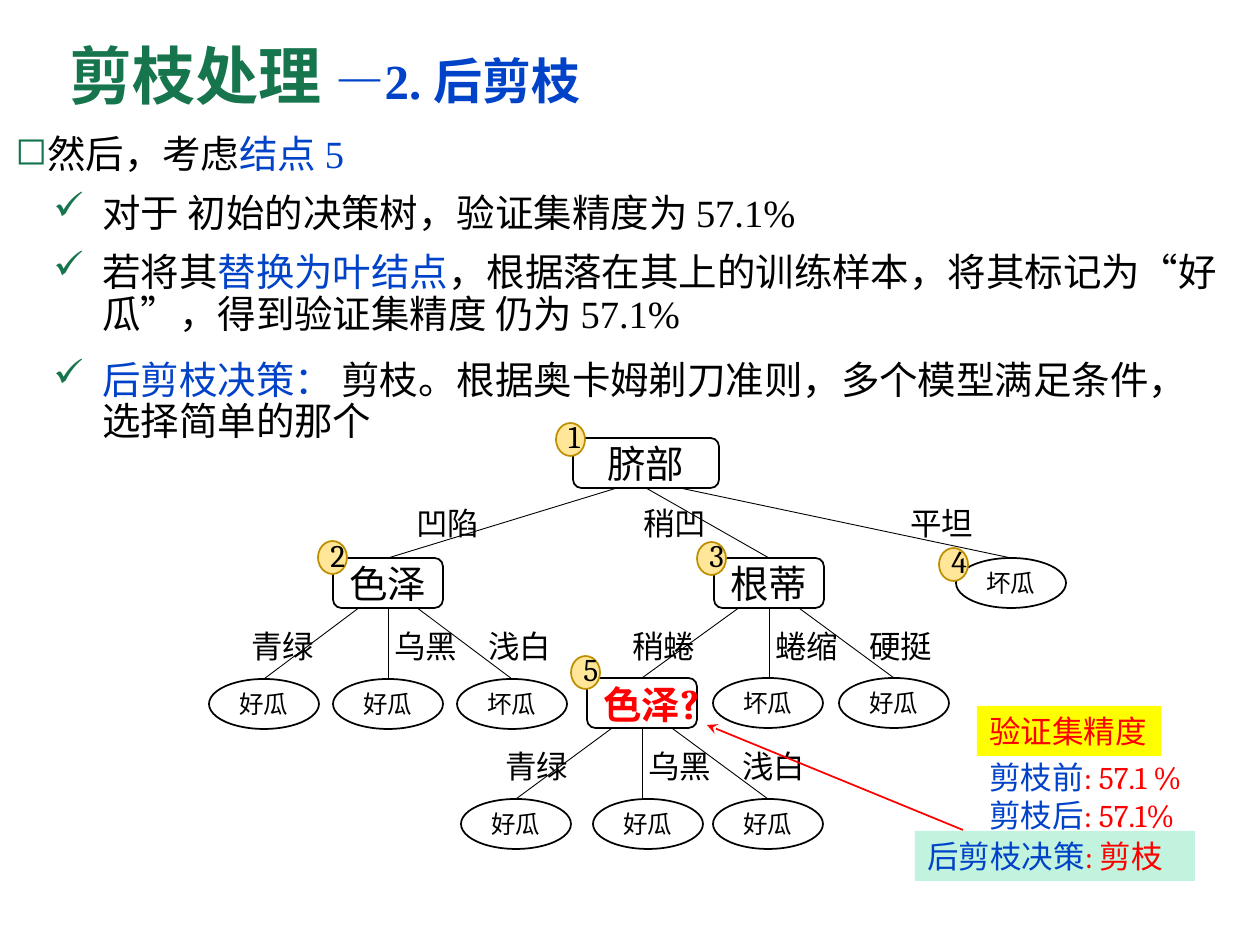
from dataclasses import dataclass

from lxml.etree import SubElement
from pptx import Presentation
from pptx.dml.color import RGBColor
from pptx.enum.shapes import MSO_CONNECTOR, MSO_SHAPE
from pptx.enum.text import MSO_ANCHOR, MSO_AUTO_SIZE, PP_ALIGN
from pptx.oxml.ns import qn
from pptx.util import Emu, Pt

PX_PER_INCH = 126
NODE_W, NODE_H = 110, 50


@dataclass(frozen=True)
class Theme:
    black: str = "000000"
    white: str = "FFFFFF"
    green: str = "16754D"
    blue: str = "0042C8"
    red: str = "FF0000"
    yellow: str = "FFFF00"
    mint: str = "C1F3DE"
    badge: str = "FFE699"
    badge_line: str = "BD8E00"
    serif: str = "Times New Roman"
    cambria: str = "Cambria"
    cjk: str = "Noto Sans CJK SC"
    title: int = 36
    subtitle: int = 28
    question: int = 24
    body: int = 22
    label: int = 18
    leaf: int = 14


T = Theme()


def px(n):
    return Emu(round(n * 914400 / PX_PER_INCH))


def rgb(color):
    return RGBColor.from_string(color)


def add_run(p, text, size, color=T.black, font=T.serif, bold=False):
    r = p.add_run()
    r.text = text
    r.font.size, r.font.bold, r.font.name = Pt(size), bold, font
    r.font.color.rgb = rgb(color)
    SubElement(r.font._element, qn("a:ea"), typeface=T.cjk)


def add_shape(shapes, kind, box, fill, line=None):
    sp = shapes.add_shape(kind, *map(px, box))
    sp.shadow.inherit = False
    sp.fill.solid()
    sp.fill.fore_color.rgb = rgb(fill)
    if line:
        sp.line.color.rgb = rgb(line)
        sp.line.width = Pt(1)
    else:
        sp.line.fill.background()
    return sp


def add_line(shapes, start, end, color=T.black, width=0.5):
    cx = shapes.add_connector(MSO_CONNECTOR.STRAIGHT, *map(px, start + end))
    cx.line.color.rgb = rgb(color)
    cx.line.width = Pt(width)
    SubElement(cx._element.spPr, qn("a:effectLst"))
    return cx


def centre_text(sp):
    tf = sp.text_frame
    tf.word_wrap = True
    tf.vertical_anchor = MSO_ANCHOR.MIDDLE
    p = tf.paragraphs[0]
    p.alignment = PP_ALIGN.CENTER
    return p


def fit_text(sp, lines, font):
    """Fill an unwrapped, growing shape; each line is a list of (text, color)."""
    tf = sp.text_frame
    tf.word_wrap = False
    tf.auto_size = MSO_AUTO_SIZE.SHAPE_TO_FIT_TEXT
    for i, runs in enumerate(lines):
        p = tf.add_paragraph() if i else tf.paragraphs[0]
        p.alignment = PP_ALIGN.LEFT
        for text, color in runs:
            add_run(p, text, T.label, color, font)


def add_label(shapes, x, y, text):
    fit_text(shapes.add_textbox(*map(px, (x, y, 90, 50))), [[(text, T.black)]], T.cjk)


def add_leaf(shapes, x, y, text):
    sp = add_shape(shapes, MSO_SHAPE.OVAL, (x, y, NODE_W, NODE_H), T.white, T.black)
    add_run(centre_text(sp), text, T.leaf)
    return sp


def add_node(shapes, x, y, text, w=NODE_W, color=T.black, mark=""):
    sp = add_shape(shapes, MSO_SHAPE.ROUNDED_RECTANGLE, (x, y, w, NODE_H), T.white, T.black)
    p = centre_text(sp)
    add_run(p, text, T.body, color, T.cambria, bool(mark))
    if mark:
        add_run(p, mark, T.question, color, T.cambria, True)
    return sp


def add_subtree(shapes, x, y, text, children, labels, **style):
    """Place a node at x, y and branch it to three children below."""
    mid = x + NODE_W // 2
    for child in (children[0], children[2]):
        add_line(shapes, (mid, y + 28), (mid, y + 121)).end_connect(child, 0)
    for dx, label in zip((-94, 49, 143), labels):
        add_label(shapes, x + dx, y + 63, label)
    node = add_node(shapes, x, y, text, **style)
    add_line(shapes, (mid, y + NODE_H), (mid, y + 121)).begin_connect(node, 2)
    return node


def add_badge(shapes, x, y, number):
    sp = add_shape(shapes, MSO_SHAPE.OVAL, (x, y, 29, 33), T.badge, T.badge_line)
    p = centre_text(sp)
    sp.text_frame.margin_top = 0
    add_run(p, str(number), T.label, font=T.cambria)


def add_tree(s, x, y):
    """Draw the decision tree with the root node at x, y."""
    shapes = s.shapes.add_group_shape().shapes

    def leaves(top, items):
        return [add_leaf(shapes, x + dx, y + top, text) for dx, text in items]

    low = leaves(361, [(-112, "好瓜"), (20, "好瓜"), (140, "好瓜")])
    node5 = add_subtree(shapes, x + 14, y + 240, "色泽", low, ("青绿", "乌黑", "浅白"),
                        color=T.red, mark="?")
    right = [node5] + leaves(240, [(140, "坏瓜"), (266, "好瓜")])
    node3 = add_subtree(shapes, x + 141, y + 120, "根蒂", right, ("稍蜷", "蜷缩", "硬挺"))
    left = leaves(241, [(-364, "好瓜"), (-240, "好瓜"), (-116, "坏瓜")])
    node2 = add_subtree(shapes, x - 240, y + 120, "色泽", left, ("青绿", "乌黑", "浅白"))
    node4 = add_leaf(shapes, x + 383, y + 120, "坏瓜")

    root = add_node(shapes, x, y, "脐部", w=146)
    for dx, child in ((44, node2), (73, node3), (107, node4)):
        cx = add_line(shapes, (x + dx, y + NODE_H), (x + dx, y + 120))
        cx.end_connect(child, 0)
        if child is node3:
            cx.begin_connect(root, 2)
    for dx, label in ((-169, "凹陷"), (58, "稍凹"), (325, "平坦")):
        add_label(shapes, x + dx, y + 60, label)
    badges = [(-17, -15), (-255, 103), (124, 104), (366, 110), (-2, 218)]
    for number, (dx, dy) in enumerate(badges, 1):
        add_badge(shapes, x + dx, y + dy, number)


def add_title(s, box):
    tf = s.shapes.add_textbox(*map(px, box)).text_frame
    tf.word_wrap = True
    tf.vertical_anchor = MSO_ANCHOR.MIDDLE
    p = tf.paragraphs[0]
    p.line_spacing = 0.9
    add_run(p, "剪枝处理 ", T.title, T.green, bold=True)
    add_run(p, "—2. 后剪枝", T.subtitle, T.blue, bold=True)


def add_bullets(s, box, items):
    """Each item is (bullet, left indent in px, list of (text, color))."""
    tf = s.shapes.add_textbox(*map(px, box)).text_frame
    tf.word_wrap = True
    for i, (bullet, indent, runs) in enumerate(items):
        p = tf.add_paragraph() if i else tf.paragraphs[0]
        p.line_spacing, p.space_before = 0.9, Pt(10)
        pPr = p._p.get_or_add_pPr()
        pPr.set("marL", str(px(indent)))
        pPr.set("indent", str(px(-49)))
        SubElement(SubElement(pPr, qn("a:buClr")), qn("a:srgbClr"), val=T.green)
        SubElement(pPr, qn("a:buChar"), char=bullet)
        for text, color in runs:
            add_run(p, text, T.body, color)


def add_result(s, x, y):
    """Place the accuracy panel and its arrow, with the heading at x, y."""
    arrow = add_line(s.shapes, (x - 14, y + 124), (x - 270, y + 19), T.red, 1)
    SubElement(arrow.line._get_or_add_ln(), qn("a:tailEnd"), type="stealth")
    heading = add_shape(s.shapes, MSO_SHAPE.RECTANGLE, (x, y, 184, 50), T.yellow)
    fit_text(heading, [[("验证集精度", T.red)]], T.cambria)
    scores = s.shapes.add_textbox(*map(px, (x, y + 46, 248, 89)))
    fit_text(scores, [[("剪枝前", T.blue), (": 57.1 %", T.red)],
                      [("剪枝后", T.blue), (": 57.1%", T.red)]], T.cambria)
    verdict = add_shape(s.shapes, MSO_SHAPE.RECTANGLE, (x - 62, y + 125, 280, 50), T.mint)
    fit_text(verdict, [[("后剪枝决策", T.blue), (": 剪枝", T.red)]], T.cambria)


def main():
    prs = Presentation()
    prs.slide_width, prs.slide_height = px(1260), px(945)
    s = prs.slides.add_slide(prs.slide_layouts[6])
    add_tree(s, 573, 438)
    add_result(s, 977, 706)
    add_title(s, (57, 26, 1086, 107))
    add_bullets(s, (3, 129, 1245, 219), [
        ("◻", 32, [("然后，考虑", T.black), ("结点 5", T.blue)]),
        ("✓", 87, [("对于 初始的决策树，验证集精度为 57.1%", T.black)]),
        ("✓", 87, [("若将其", T.black), ("替换为叶结点", T.blue),
                   ("，根据落在其上的训练样本，将其标记为“好瓜”，得到验证集精度 仍为 57.1%", T.black)]),
    ])
    add_bullets(s, (3, 355, 1212, 97), [
        ("✓", 87, [("后剪枝决策： ", T.blue),
                   ("剪枝。根据奥卡姆剃刀准则，多个模型满足条件，选择简单的那个", T.black)]),
    ])
    prs.save("out.pptx")


if __name__ == "__main__":
    main()
